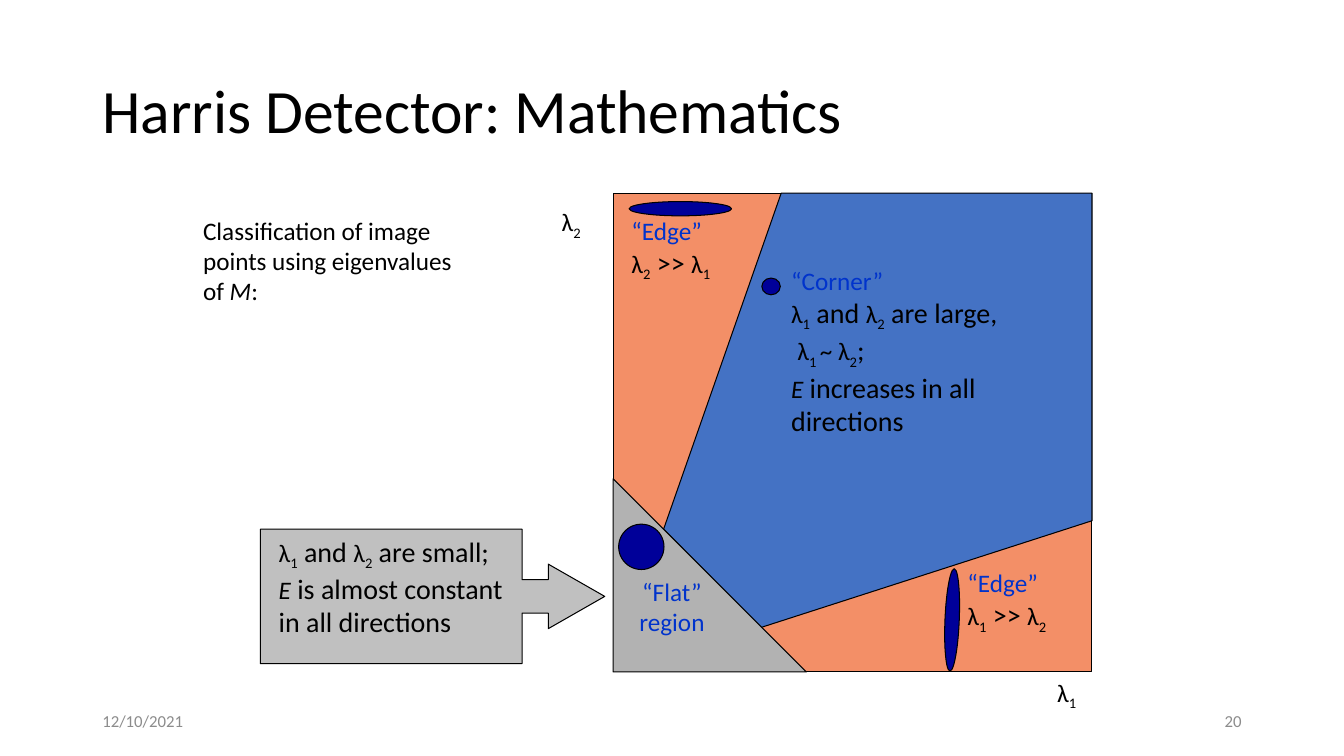
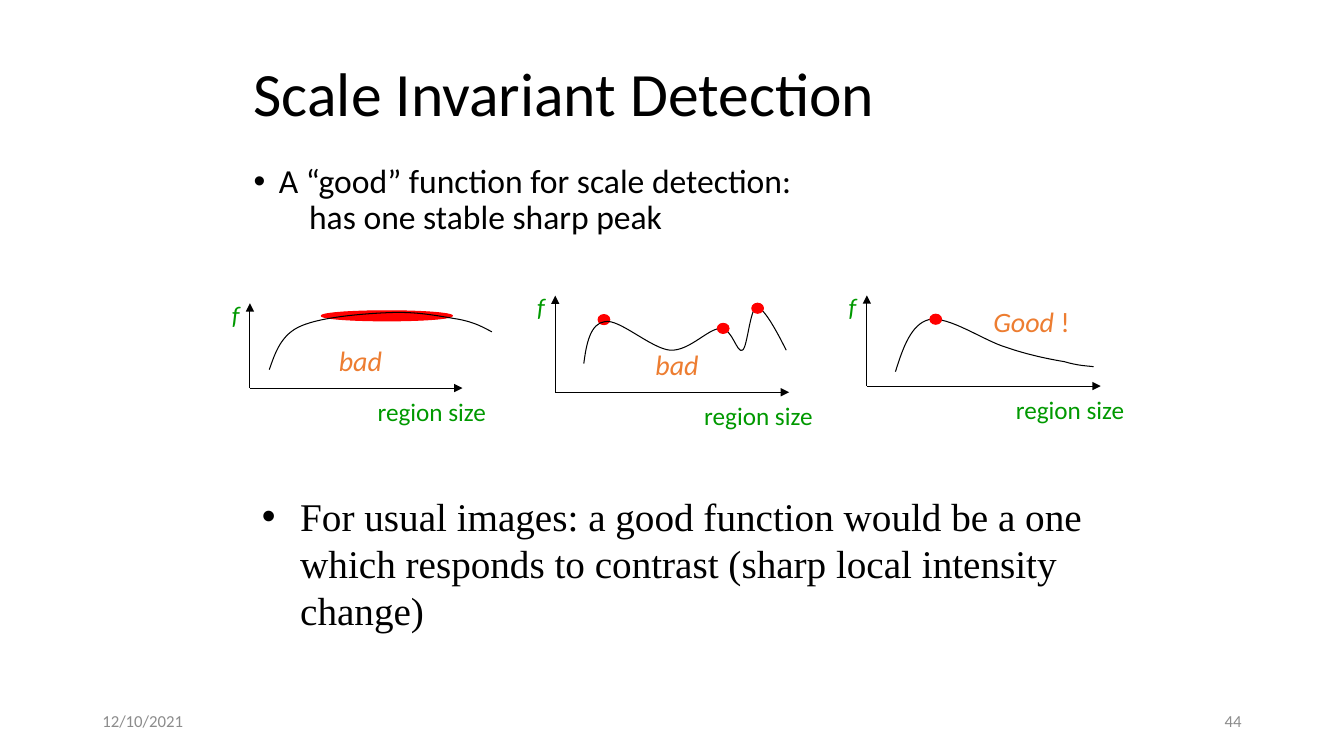
from lxml.etree import SubElement
from pptx import Presentation
from pptx.dml.color import RGBColor
from pptx.enum.shapes import MSO_CONNECTOR, MSO_SHAPE
from pptx.enum.text import MSO_ANCHOR as ANCHOR, MSO_AUTO_SIZE as AUTO_SIZE, PP_ALIGN as ALIGN
from pptx.oxml.ns import qn
from pptx.util import Inches, Pt

COLUMNS, ROWS = 160, 90
CELL = Inches(1) / 12
TITLE_AND_BODY, TITLE_ONLY = 1, 5
SERIF = "Times New Roman"
BLACK, GRAY, BLUE, NAVY = "000000", "8C8C8C", "0033CC", "000099"
SALMON, CORNER_BLUE, FLAT_GRAY, SILVER = "F38F67", "4472C4", "B2B2B2", "C0C0C0"
GREEN, ORANGE, RED = "009900", "ED7D31", "FF0000"
LARGE = {"size": 20}
ITALIC = {"italic": True}
SUBSCRIPT = {"subscript": True}


def cells(*values):
    return [round(value * CELL) for value in values]


def rgb(value):
    return RGBColor.from_string(value)


def write(paragraph, text, size=18, color=BLACK, font="Calibri", italic=False, subscript=False):
    for index, line in enumerate(text.split("\n")):
        if index:
            paragraph.add_line_break()
        if not line:
            continue
        run = paragraph.add_run()
        run.text = line
        run.font.size = Pt(size)
        run.font.name = font
        run.font.italic = italic
        run.font.color.rgb = rgb(color)
        if subscript:
            run.font._element.set("baseline", "-25000")


def fill_frame(frame, paragraphs, align=ALIGN.LEFT, anchor=ANCHOR.TOP, wrap=True, spacing=None,
               **text_format):
    frame.auto_size = AUTO_SIZE.NONE
    frame.word_wrap = wrap
    frame.vertical_anchor = anchor
    for index, runs in enumerate(paragraphs):
        paragraph = frame.add_paragraph() if index else frame.paragraphs[0]
        paragraph.alignment = align
        paragraph.space_before = Pt(0)
        if spacing:
            paragraph.line_spacing = spacing
        for text, own_format in runs:
            write(paragraph, text, **{**text_format, **own_format})
    return frame.paragraphs


def plain(text):
    return [(text, {})]


def eigenvalue(index):
    return [("λ", {}), (index, SUBSCRIPT)]


def add_text(shapes, box, runs, **frame_format):
    frame = shapes.add_textbox(*cells(*box)).text_frame
    return fill_frame(frame, [runs], **frame_format)[0]


def indent(paragraph, margin, hanging=0, bullet=None):
    properties = paragraph._p.get_or_add_pPr()
    properties.set("marL", str(Inches(margin)))
    properties.set("indent", str(-Inches(hanging)))
    if bullet:
        SubElement(properties, qn("a:buFont")).set("typeface", "Arial")
        SubElement(properties, qn("a:buChar")).set("char", bullet)
    else:
        SubElement(properties, qn("a:buNone"))


def paint(shape, fill=None, line=BLACK):
    shape.shadow.inherit = False
    if fill:
        shape.fill.solid()
        shape.fill.fore_color.rgb = rgb(fill)
    else:
        shape.fill.background()
    shape.line.color.rgb = rgb(line)
    shape.line.width = Pt(0.75)
    return shape


def add_shape(shapes, kind, box, fill, line=BLACK):
    return paint(shapes.add_shape(kind, *cells(*box)), fill, line)


def add_outline(shapes, points, fill=None, close=False):
    corners = [cells(*point) for point in points]
    builder = shapes.build_freeform(*corners[0])
    builder.add_line_segments(corners[1:], close=close)
    return paint(builder.convert_to_shape(), fill)


def add_curve(shapes, controls):
    curve = add_outline(shapes, controls)
    segments = list(curve._element.iter(qn("a:lnTo")))
    for first in range(0, len(segments), 3):
        start, *others = segments[first:first + 3]
        start.tag = qn("a:cubicBezTo")
        for segment in others:
            start.append(segment[0])
            segment.getparent().remove(segment)


def add_arrow(shapes, start, end):
    arrow = shapes.add_connector(MSO_CONNECTOR.STRAIGHT, *cells(*start, *end))
    arrow.line.color.rgb = rgb(BLACK)
    arrow.line.width = Pt(0.75)
    properties = arrow._element.spPr
    SubElement(properties.find(qn("a:ln")), qn("a:tailEnd")).set("type", "triangle")
    SubElement(properties, qn("a:effectLst"))


def place(shape, box):
    shape.left, shape.top, shape.width, shape.height = cells(*box)


def add_slide(presentation, layout, title, title_box, number):
    slide = presentation.slides.add_slide(presentation.slide_layouts[layout])
    place(slide.shapes.title, title_box)
    fill_frame(slide.shapes.title.text_frame, [plain(title)], anchor=ANCHOR.MIDDLE,
               spacing=0.9, size=44)
    for left, text, align in ((11, "12/10/2021", ALIGN.LEFT), (113, number, ALIGN.RIGHT)):
        add_text(slide.shapes, (left, 83.4, 36, 4.8), plain(text), align=align,
                 anchor=ANCHOR.MIDDLE, size=12, color=GRAY)
    return slide


def add_response_chart(slide, origin, size, curve, verdict, verdict_box, peaks_behind=(),
                       peaks_in_front=(), peak_size=(1.4, 1.2)):
    shapes = slide.shapes.add_group_shape().shapes
    left, base = origin
    width, height = size

    def at(x, y):
        return left + x, base - y

    def add_peaks(peaks):
        peak_width, peak_height = peak_size
        for x, y in peaks:
            corner = at(x - peak_width / 2, y + peak_height / 2)
            add_shape(shapes, MSO_SHAPE.OVAL, (*corner, *peak_size), RED, RED)

    add_arrow(shapes, origin, at(width, 0))
    add_arrow(shapes, origin, at(0, height))
    add_text(shapes, (*at(-3.5, height + 1.1), 3.6, 4.8), plain("f"),
             align=ALIGN.CENTER, color=GREEN, italic=True)
    add_text(shapes, (*at(width - 11.4, -0.36), 15.5, 4.8), plain("region size"),
             align=ALIGN.CENTER, wrap=False, color=GREEN)
    add_peaks(peaks_behind)
    add_curve(shapes, [at(*point) for point in curve])
    add_peaks(peaks_in_front)
    x, y, verdict_width = verdict_box
    add_text(shapes, (*at(x, y), verdict_width, 5.2), verdict,
             align=ALIGN.CENTER, size=20, color=ORANGE)


def build_classification(presentation):
    slide = add_slide(presentation, TITLE_ONLY, "Harris Detector: Mathematics",
                      (11, 4.8, 138, 17.4), "20")
    shapes = slide.shapes
    callout = add_shape(shapes, MSO_SHAPE.RIGHT_ARROW_CALLOUT, (31, 63, 41, 16), SILVER)
    for index, value in enumerate((0.25, 0.24, 0.42, 0.76)):
        callout.adjustments[index] = value
    add_shape(shapes, MSO_SHAPE.RECTANGLE, (73, 23, 57, 57), SALMON)
    corner_region = [(79, 63), (93, 23), (130, 23), (130, 62), (90.6, 74.7)]
    add_outline(shapes, corner_region, CORNER_BLUE, close=True)
    add_shape(shapes, MSO_SHAPE.RIGHT_TRIANGLE, (73, 57, 23, 23), FLAT_GRAY)

    for index, box in (("1", (122, 80, 10, 4.8)), ("2", (61, 24, 14, 4.8))):
        add_text(shapes, box, eigenvalue(index), align=ALIGN.CENTER)
    both = [*eigenvalue("1"), (" and ", LARGE), *eigenvalue("2")]
    add_text(shapes, (93, 31, 35, 21),
             [("“Corner”\n", {"color": BLUE}), *both, (" are large,\n ", LARGE),
              ("λ", {}), ("1 ", SUBSCRIPT), ("~ ", {}), *eigenvalue("2"), (";\n", LARGE),
              ("E", ITALIC), (" increases in all directions", LARGE)])
    add_text(shapes, (32, 63, 31, 13.3),
             [*both, (" are small;\n", LARGE),
              ("E", ITALIC), (" is almost constant in all directions", LARGE)])
    for left, top, larger, smaller in ((114, 67, "1", "2"), (74, 25, "2", "1")):
        add_text(shapes, (left, top, 17, 8.9),
                 [("“Edge”\n", {"color": BLUE}),
                  *eigenvalue(larger), (" >> ", LARGE), *eigenvalue(smaller)])
    add_text(shapes, (72, 68, 16, 8.5), plain("“Flat” region"), align=ALIGN.CENTER, color=BLUE)
    add_text(shapes, (23, 25, 35, 12.1),
             [("Classification of image points using eigenvalues of ", {}), ("M", ITALIC), (":", {})])

    for box, rotation in (((90.7, 33.1, 2.2, 2), 0), ((74.9, 24, 12.2, 1.7), 0),
                          ((73.65, 62.4, 5.4, 5.4), 0), ((107.25, 72.95, 12.2, 1.7), 92.4)):
        add_shape(shapes, MSO_SHAPE.OVAL, box, NAVY).rotation = rotation


def build_scale_detection(presentation):
    slide = add_slide(presentation, TITLE_AND_BODY, "Scale Invariant Detection",
                      (29, 4, 102, 15), "44")
    body = slide.placeholders[1]
    place(body, (29, 19, 102, 14))
    statement, detail = fill_frame(
        body.text_frame,
        [plain("A “good” function for scale detection:"), plain("has one stable sharp peak")],
        spacing=0.9, size=24)
    indent(statement, 0.25, 0.25, "•")
    indent(detail, 0.55)

    bad = [("bad", ITALIC)]
    flat_curve = [(2.3, 2.2), (3, 4.2), (3.7, 6.4), (6.1, 7.4), (8.6, 8.5), (13.9, 8.9), (17, 9),
                  (20.2, 9.1), (22.9, 8.5), (24.8, 8.2), (26.9, 7.8), (27.8, 7.2), (28.8, 6.7)]
    wavy_curve = [(3.4, 3.4), (3.7, 5.8), (4.2, 8.2), (5.9, 8.4), (7.6, 8.8), (11.4, 5.2),
                  (13.7, 5), (16, 4.9), (18.2, 7.6), (19.7, 7.6), (21.1, 7.6), (21.6, 4.6),
                  (22.3, 5), (22.9, 5.4), (23.2, 10.1), (24, 10.1), (24.8, 10.1), (26.2, 7.6),
                  (27.5, 5)]
    peaked_curve = [(3.4, 1.7), (4.3, 4.6), (5.3, 7.4), (7.4, 7.9), (9.7, 8.4), (13.9, 5.4),
                    (16.6, 4.6), (19.2, 3.7), (21.7, 3.2), (23.5, 2.9), (25.2, 2.4), (26.2, 2.4),
                    (27, 2.3)]
    add_response_chart(slide, (29.76, 46.2), (25.3, 10.1), flat_curve, bad, (9.2, 5.9, 7.9),
                       peaks_behind=[(16.3, 8.6)], peak_size=(15.6, 1.2))
    add_response_chart(slide, (66.1, 46.7), (27.84, 11.5), wavy_curve, bad, (10.1, 5.9, 8.8),
                       peaks_behind=[(5.8, 8.65)], peaks_in_front=[(20, 7.6), (24.1, 10)])
    add_response_chart(slide, (103.2, 45.96), (27.84, 10.8), peaked_curve,
                       [("Good ", ITALIC), ("!", {})], (13.6, 10.3, 12),
                       peaks_in_front=[(8.2, 7.95)])

    conclusion = add_text(
        slide.shapes, (30, 58, 105, 19),
        plain("For usual images: a good function would be a one which responds to contrast "
              "(sharp local intensity change)"), size=28, font=SERIF)
    indent(conclusion, 0.38, 0.38, "•")


def main():
    presentation = Presentation()
    presentation.slide_width, presentation.slide_height = cells(COLUMNS, ROWS)
    build_classification(presentation)
    build_scale_detection(presentation)
    presentation.save("out.pptx")


if __name__ == "__main__":
    main()
